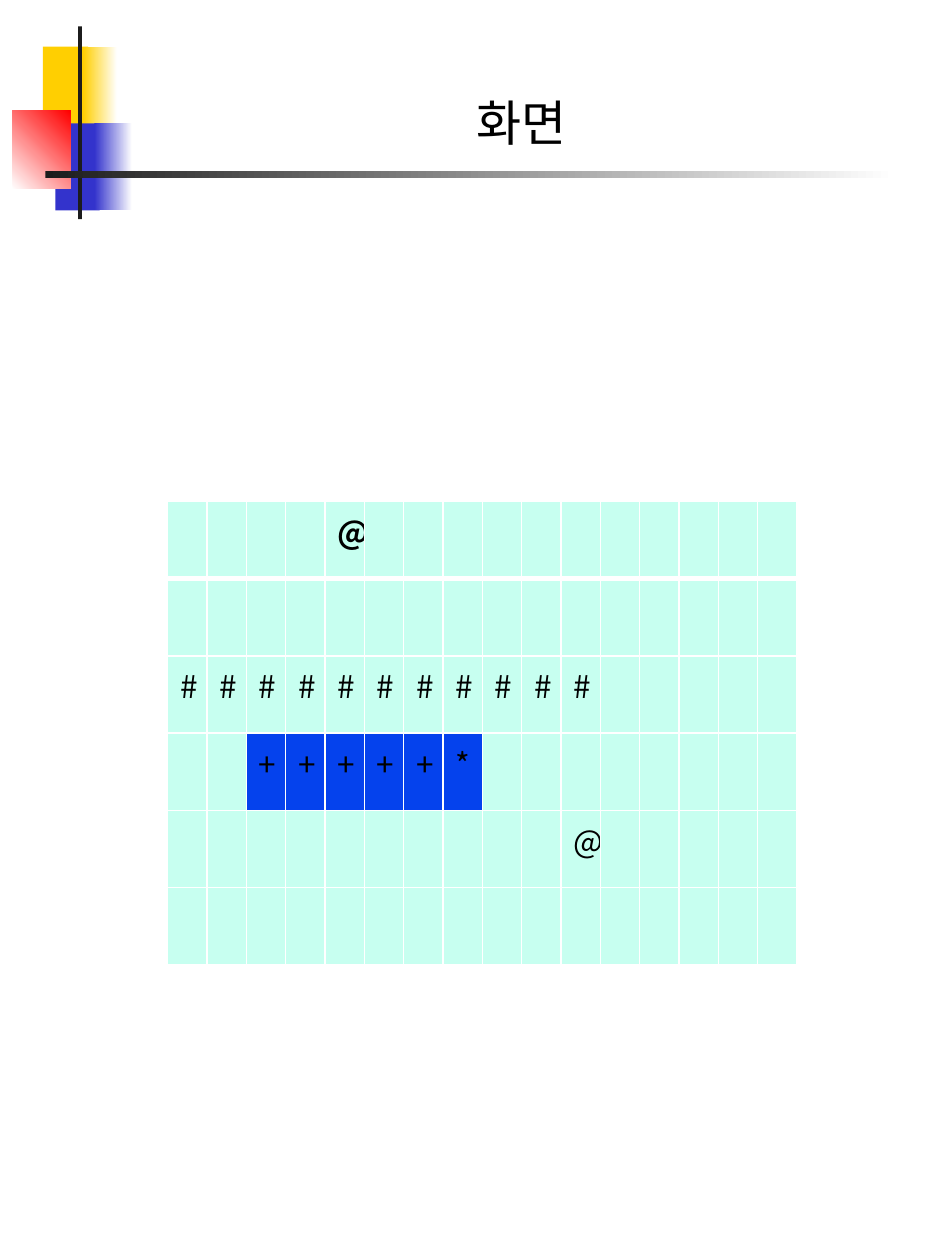
from lxml.etree import SubElement
from pptx import Presentation
from pptx.dml.color import RGBColor
from pptx.enum.shapes import MSO_SHAPE
from pptx.enum.text import MSO_ANCHOR, PP_ALIGN
from pptx.oxml import parse_xml
from pptx.oxml.ns import nsdecls, qn
from pptx.util import Inches, Pt

FONT = "Noto Sans CJK KR"
BLACK = RGBColor(0x00, 0x00, 0x00)
WHITE = RGBColor(0xFF, 0xFF, 0xFF)
YELLOW = RGBColor(0xFF, 0xCF, 0x01)
INDIGO = RGBColor(0x33, 0x33, 0xCC)
RED = RGBColor(0xFF, 0x00, 0x00)
CHARCOAL = RGBColor(0x1C, 0x1C, 0x1C)
MINT = RGBColor(0xC7, 0xFF, 0xF0)
BLUE = RGBColor(0x05, 0x42, 0xED)

TITLE = "화면"

# Decoration: left, top, width, height, start colour, end colour, angle
DECORATION = [
    (0.34, 0.37, 0.36, 0.69, YELLOW, None, 0),
    (0.66, 0.37, 0.27, 0.69, YELLOW, WHITE, 0),
    (0.44, 0.98, 0.35, 0.69, INDIGO, None, 0),
    (0.75, 0.98, 0.30, 0.69, INDIGO, WHITE, 0),
    (0.10, 0.88, 0.46, 0.62, WHITE, RED, 45),
    (0.62, 0.21, 0.03, 1.53, CHARCOAL, None, 0),
    (0.36, 1.36, 6.75, 0.05, CHARCOAL, WHITE, 0),
]

# Screen buffer: one character per cell
SCREEN = [
    "    @           ",
    "                ",
    "###########     ",
    "  +++++*        ",
    "          @     ",
    "                ",
]
HIGHLIGHTED = "+*"


def write(paragraph, text, **formats):
    run = paragraph.add_run()
    run.text = text
    run.font.color.rgb = BLACK
    for name, value in {"name": FONT, **formats}.items():
        setattr(run.font, name, value)
    SubElement(run.font._element, qn("a:ea")).set("typeface", FONT)


def set_borders(cell, widths):
    properties = cell._tc.get_or_add_tcPr()
    for index, (side, width) in enumerate(widths.items()):
        properties.insert(index, parse_xml(
            f'<a:ln{side} {nsdecls("a")} w="{Pt(width)}"><a:solidFill>'
            f'<a:srgbClr val="{WHITE}"/></a:solidFill></a:ln{side}>'))


presentation = Presentation()
presentation.slide_width = Inches(7.5)
presentation.slide_height = Inches(10)
slide = presentation.slides.add_slide(presentation.slide_layouts[6])

# Corner decoration
for *box, start, end, angle in DECORATION:
    shape = slide.shapes.add_shape(MSO_SHAPE.RECTANGLE, *map(Inches, box))
    shape.shadow.inherit = False
    shape.line.fill.background()
    if end is None:
        shape.fill.solid()
        shape.fill.fore_color.rgb = start
    else:
        shape.fill.gradient()
        shape.fill.gradient_angle = angle
        for stop, color in zip(shape.fill.gradient_stops, (start, end)):
            stop.color.rgb = color

# Title
title_box = slide.shapes.add_textbox(*map(Inches, (0.94, 0.31, 6.39, 0.94)))
title_frame = title_box.text_frame
title_frame.word_wrap = True
title_frame.vertical_anchor = MSO_ANCHOR.BOTTOM
title_frame.paragraphs[0].alignment = PP_ALIGN.CENTER
write(title_frame.paragraphs[0], TITLE, size=Pt(28))

# Screen table
table = slide.shapes.add_table(
    len(SCREEN), len(SCREEN[0]), *map(Inches, (1.33, 3.98, 5, 3.68))).table
table.horz_banding = False
for row_index, line in enumerate(SCREEN):
    for column_index, character in enumerate(line):
        cell = table.cell(row_index, column_index)
        cell.fill.solid()
        cell.fill.fore_color.rgb = BLUE if character in HIGHLIGHTED else MINT
        set_borders(cell, {"L": 1, "R": 1, "T": 3 if row_index == 1 else 1,
                           "B": 3 if row_index == 0 else 1})
        if character != " ":
            write(cell.text_frame.paragraphs[0], character,
                  size=Pt(18), bold=row_index == 0)

presentation.save("out.pptx")
